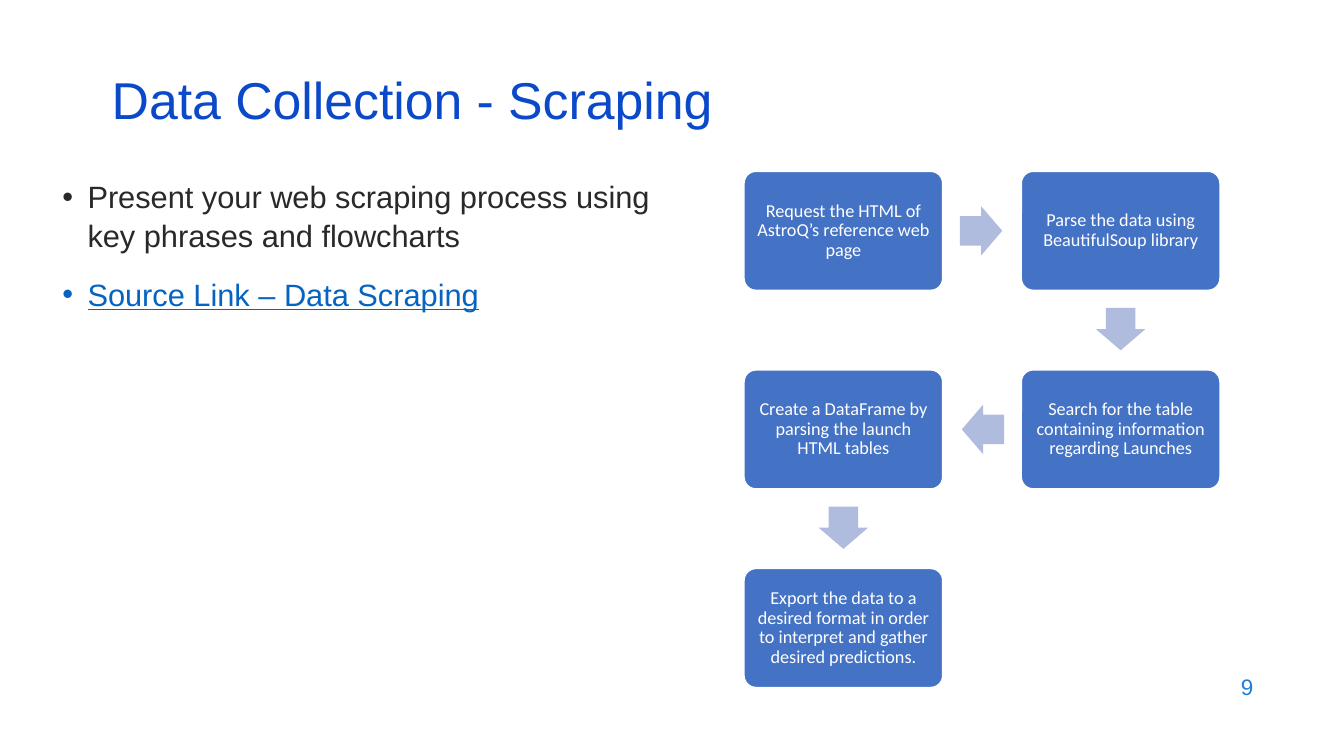
from dataclasses import dataclass

from lxml import etree
from pptx import Presentation
from pptx.dml.color import RGBColor
from pptx.enum.shapes import MSO_SHAPE
from pptx.enum.text import MSO_ANCHOR, PP_ALIGN
from pptx.oxml.ns import qn
from pptx.slide import Slide
from pptx.text.text import TextFrame, _Paragraph
from pptx.util import Emu, Pt

EMU_PER_PX = 9144
ROUNDED = MSO_SHAPE.ROUNDED_RECTANGLE
RIGHT_ARROW = MSO_SHAPE.RIGHT_ARROW
MIDDLE = MSO_ANCHOR.MIDDLE
TOP = MSO_ANCHOR.TOP
LEFT = PP_ALIGN.LEFT
CENTER = PP_ALIGN.CENTER
RIGHT = PP_ALIGN.RIGHT

COLORS = {
    "title": "0B49CB",
    "body": "292929",
    "link": "0563C1",
    "number": "1C7DDB",
    "step": "4472C4",
    "arrow": "B0BCDE",
    "white": "FFFFFF",
}

FLOW_LEFT, FLOW_TOP = 738, 170
COLUMN_STEP, ROW_STEP = 275, 197
STEP_WIDTH, STEP_HEIGHT = 197, 118
ARROW_WIDTH, ARROW_HEIGHT = 42, 49
ROTATIONS = {(1, 0): 0, (0, 1): 90, (-1, 0): 180}


@dataclass(frozen=True)
class Step:
    column: int
    row: int
    text: str

    @property
    def left(self) -> int:
        return FLOW_LEFT + self.column * COLUMN_STEP

    @property
    def top(self) -> int:
        return FLOW_TOP + self.row * ROW_STEP


@dataclass(frozen=True)
class Bullet:
    text: str
    color: str
    underline: bool = False


STEPS = [
    Step(0, 0, "Request the HTML of AstroQ’s reference web page"),
    Step(1, 0, "Parse the data using BeautifulSoup library"),
    Step(1, 1, "Search for the table containing information regarding Launches"),
    Step(0, 1, "Create a DataFrame by parsing the launch HTML tables"),
    Step(0, 2, "Export the data to a desired format in order to interpret "
               "and gather desired predictions."),
]
BULLETS = [
    Bullet("Present your web scraping process using key phrases and flowcharts", "body"),
    Bullet("Source Link – Data Scraping", "link", True),
]


def px(value: float) -> Emu:
    return Emu(round(value * EMU_PER_PX))


def color(name: str) -> RGBColor:
    return RGBColor.from_string(COLORS[name])


def add_run(paragraph: _Paragraph, text: str, size: int, color_name: str,
            font_name: str = "Arial", underline: bool = False) -> None:
    run = paragraph.add_run()
    run.text = text
    run.font.name = font_name
    run.font.size = Pt(size)
    run.font.color.rgb = color(color_name)
    if underline:
        run.font.underline = True


def add_text_box(slide: Slide, left: int, top: int, width: int, height: int,
                 anchor: MSO_ANCHOR) -> TextFrame:
    frame = slide.shapes.add_textbox(px(left), px(top), px(width), px(height)).text_frame
    frame.word_wrap = True
    frame.vertical_anchor = anchor
    return frame


def add_line(slide: Slide, left: int, top: int, width: int, height: int, text: str,
             size: int, color_name: str, alignment: PP_ALIGN, spacing: float) -> None:
    paragraph = add_text_box(slide, left, top, width, height, MIDDLE).paragraphs[0]
    paragraph.alignment = alignment
    paragraph.line_spacing = spacing
    add_run(paragraph, text, size, color_name)


def add_bullets(slide: Slide, bullets: list[Bullet]) -> None:
    frame = add_text_box(slide, 52, 170, 614, 512, TOP)
    for index, bullet in enumerate(bullets):
        paragraph = frame.add_paragraph() if index else frame.paragraphs[0]
        paragraph.line_spacing = 1.05
        paragraph.space_before = Pt(14 if index else 0)
        properties = paragraph._p.get_or_add_pPr()
        properties.set("marL", str(px(25)))
        properties.set("indent", str(px(-25)))
        font = etree.SubElement(properties, qn("a:buFont"))
        font.set("typeface", "Arial")
        etree.SubElement(properties, qn("a:buChar")).set("char", "•")
        add_run(paragraph, bullet.text, 22, bullet.color, underline=bullet.underline)


def add_step(slide: Slide, step: Step) -> None:
    shape = slide.shapes.add_shape(
        ROUNDED, px(step.left), px(step.top), px(STEP_WIDTH), px(STEP_HEIGHT))
    shape.adjustments[0] = 0.1
    shape.shadow.inherit = False
    shape.fill.solid()
    shape.fill.fore_color.rgb = color("step")
    shape.line.color.rgb = color("white")
    shape.line.width = Pt(1)
    frame = shape.text_frame
    frame.word_wrap = True
    frame.vertical_anchor = MIDDLE
    frame.margin_left = frame.margin_right = px(5)
    frame.margin_top = frame.margin_bottom = px(5)
    paragraph = frame.paragraphs[0]
    paragraph.alignment = CENTER
    paragraph.line_spacing = 0.9
    add_run(paragraph, step.text, 13, "white", "Calibri")


def add_arrow(slide: Slide, start: Step, end: Step) -> None:
    across, down = end.column - start.column, end.row - start.row
    center_x = (start.left + end.left + STEP_WIDTH) / 2 - across
    center_y = (start.top + end.top + STEP_HEIGHT) / 2 - down
    shape = slide.shapes.add_shape(
        RIGHT_ARROW, px(center_x - ARROW_WIDTH / 2), px(center_y - ARROW_HEIGHT / 2),
        px(ARROW_WIDTH), px(ARROW_HEIGHT))
    shape.adjustments[0] = 0.6
    shape.adjustments[1] = 0.5
    shape.rotation = ROTATIONS[across, down]
    shape.shadow.inherit = False
    shape.fill.solid()
    shape.fill.fore_color.rgb = color("arrow")
    shape.line.fill.background()


def main() -> None:
    presentation = Presentation()
    presentation.slide_width = px(1333)
    presentation.slide_height = px(750)
    slide = presentation.slides.add_slide(presentation.slide_layouts[6])
    add_line(slide, 953, 659, 300, 44, "9", 16, "number", RIGHT, 1.0)
    add_bullets(slide, BULLETS)
    add_line(slide, 101, 76, 1150, 60, "Data Collection - Scraping", 37, "title", LEFT, 0.7)
    for step in STEPS:
        add_step(slide, step)
    for start, end in zip(STEPS, STEPS[1:]):
        add_arrow(slide, start, end)
    presentation.save("out.pptx")


if __name__ == "__main__":
    main()
